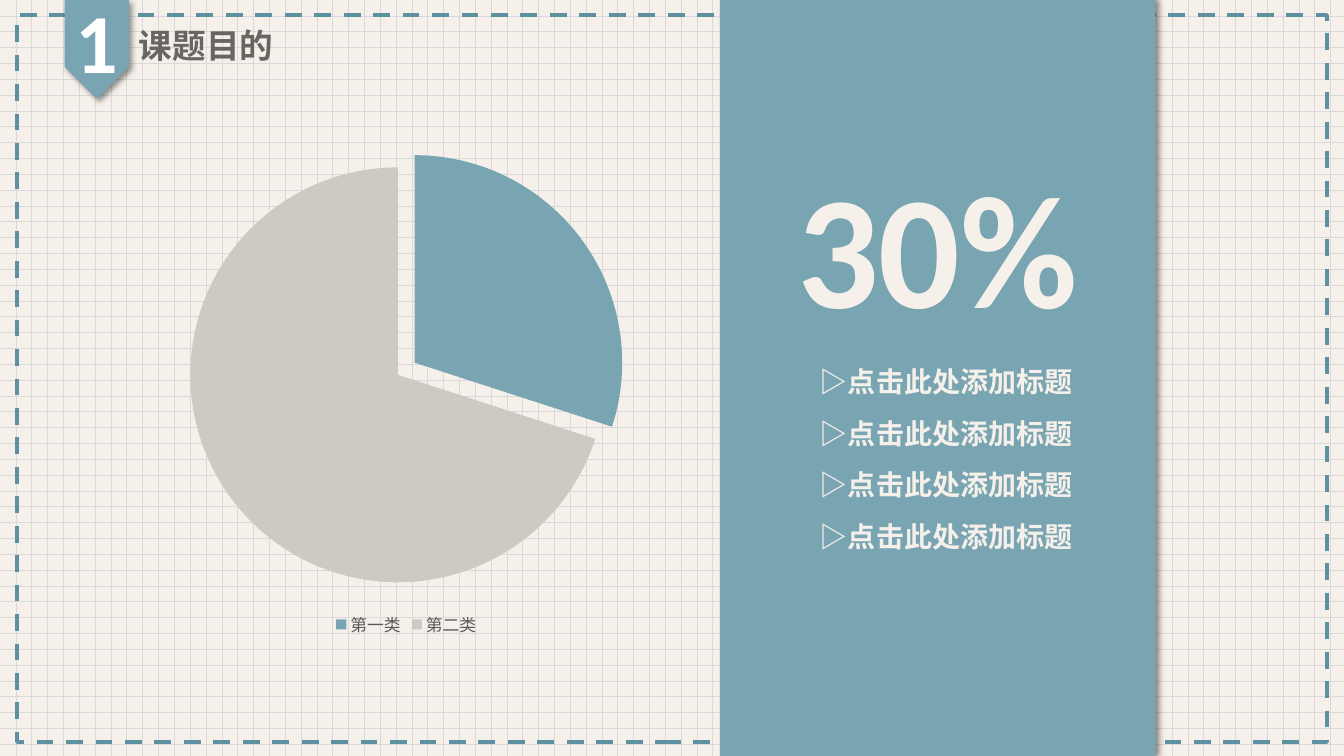
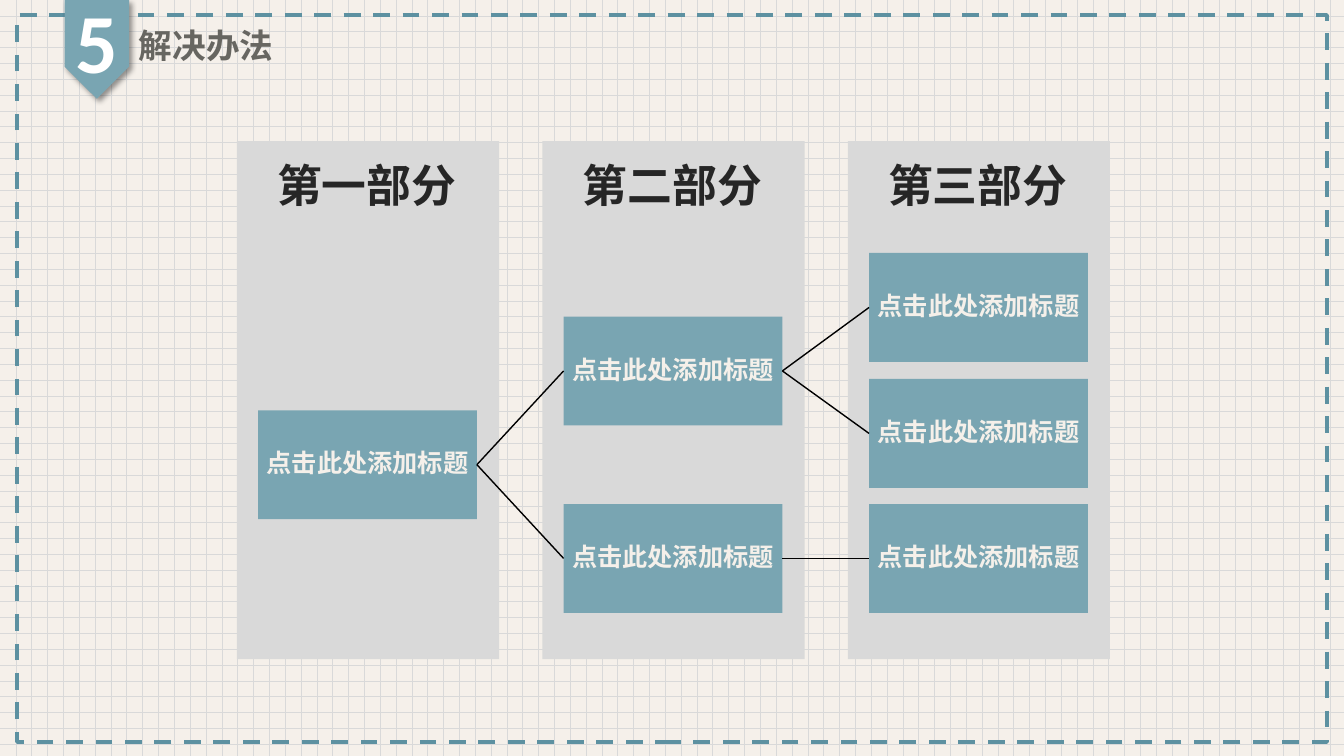
from lxml.etree import SubElement
from pptx import Presentation
from pptx.chart.data import CategoryChartData
from pptx.dml.color import RGBColor
from pptx.enum.chart import XL_CHART_TYPE, XL_LEGEND_POSITION
from pptx.enum.dml import MSO_LINE, MSO_PATTERN
from pptx.enum.shapes import MSO_CONNECTOR, MSO_SHAPE
from pptx.enum.text import MSO_ANCHOR, PP_ALIGN
from pptx.oxml import parse_xml
from pptx.oxml.ns import qn
from pptx.util import Inches, Pt

TEAL, CREAM, GREY, BLACK = "79A5B2", "F5F0EA", "D9D9D9", "000000"
LATIN, HAN = "Calibri", "Noto Sans CJK SC"
ITEM = "点击此处添加标题"
rgb = RGBColor.from_string


def write(shape, text, size, color, font=LATIN, align=PP_ALIGN.LEFT,
          anchor=MSO_ANCHOR.TOP, wrap=False, inset=None, space=None):
    frame = shape.text_frame
    frame.word_wrap = wrap
    frame.vertical_anchor = anchor
    if inset is not None:
        frame.margin_left = frame.margin_right = Inches(inset)
        frame.margin_top = frame.margin_bottom = Inches(inset)
    para = frame.paragraphs[0]
    para.alignment = align
    para.line_spacing = space
    run = para.add_run()
    run.text = text
    run.font.size = Pt(size)
    run.font.bold = True
    run.font.name = font
    run.font.color.rgb = rgb(color)
    SubElement(run.font._element, qn("a:ea"), typeface=HAN)


def paint(shape, color, angle=None):
    shape.fill.solid()
    shape.fill.fore_color.rgb = rgb(color)
    shape.line.fill.background()
    shape.shadow.inherit = False
    if angle is not None:
        glow = shape.element.spPr.find(qn("a:effectLst"))
        outer = SubElement(glow, qn("a:outerShdw"), blurRad=str(Pt(4)),
                           dist=str(Pt(3)), dir=str(angle * 60000),
                           algn="ctr", rotWithShape="0")
        tint = SubElement(outer, qn("a:srgbClr"), val=BLACK)
        SubElement(tint, qn("a:alpha"), val="40000")


deck = Presentation()
deck.slide_width = Inches(13.33)
deck.slide_height = Inches(7.5)
blank = deck.slide_layouts[6]

back = deck.slide_master.background.fill
back.patterned()
back.pattern = MSO_PATTERN.DOTTED_GRID
back.fore_color.rgb = rgb(GREY)
back.back_color.rgb = rgb(CREAM)

slides = []
for digit, title in (("1", "课题目的"), ("5", "解决办法")):
    slide = deck.slides.add_slide(blank)
    slides.append(slide)
    box = slide.shapes.add_textbox(Inches(1.28), Inches(0.2), Inches(1.55), Inches(0.5))
    write(box, title, 24, "676661", font=HAN)
    tag = slide.shapes.add_shape(
        MSO_SHAPE.PENTAGON, Inches(0.47), Inches(0.17), Inches(0.98), Inches(0.64))
    tag.rotation = 90
    paint(tag, TEAL, angle=45)
    box = slide.shapes.add_textbox(Inches(0.65), Inches(-0.15), Inches(0.63), Inches(1.11))
    write(box, digit, 60, "FFFFFF")

goal, plan = slides

frame = goal.shapes.add_shape(
    MSO_SHAPE.RECTANGLE, Inches(0.17), Inches(0.15), Inches(12.99), Inches(7.21))
frame.fill.background()
frame.line.color.rgb = rgb("5D91A1")
frame.line.width = Pt(3)
frame.line.dash_style = MSO_LINE.DASH
frame.shadow.inherit = False
blank.shapes.element.append(frame.element)

panel = goal.shapes.add_shape(
    MSO_SHAPE.RECTANGLE, Inches(7.14), 0, Inches(4.32), Inches(7.5))
paint(panel, TEAL, angle=0)
box = goal.shapes.add_textbox(Inches(7.8), Inches(1.41), Inches(3), Inches(2.05))
write(box, "30%", 115, CREAM, align=PP_ALIGN.CENTER)

data = CategoryChartData()
data.categories = ["第一类", "第二类"]
data.add_series("Series 1", (30, 70))
chart = goal.shapes.add_chart(
    XL_CHART_TYPE.PIE, Inches(0.28), Inches(1.36), Inches(7.5), Inches(5), data).chart
chart.has_title = False
chart.font.size = Pt(10)
chart.font.name = LATIN
chart.font.color.rgb = rgb(BLACK)
chart.has_legend = True
chart.legend.position = XL_LEGEND_POSITION.BOTTOM
chart.legend.include_in_layout = False
chart.legend.font.size = Pt(12)
chart.legend.font.name = LATIN
chart.legend.font.color.rgb = rgb("595959")
chart.plots[0].vary_by_categories = True
series = chart.plots[0].series[0]
for spot, color in enumerate((TEAL, "CDCAC3")):
    fill = series.points[spot].format.fill
    fill.solid()
    fill.fore_color.rgb = rgb(color)
burst = parse_xml(
    '<c:explosion xmlns:c="http://schemas.openxmlformats.org/drawingml/2006/chart" val="5"/>')
series._element.find(qn("c:dPt")).addprevious(burst)

for row in range(4):
    box = goal.shapes.add_textbox(
        Inches(8.02), Inches(3.57 + 0.51 * row), Inches(2.73), Inches(0.44))
    write(box, "▷" + ITEM, 20, CREAM, align=PP_ALIGN.CENTER)

parts = (
    ("第一部分", (4.07,)),
    ("第二部分", (3.14, 5)),
    ("第三部分", (2.51, 3.76, 5)),
)
nodes = []
for col, (head, tops) in enumerate(parts):
    left = 2.35 + 3.03 * col
    band = plan.shapes.add_shape(
        MSO_SHAPE.RECTANGLE, Inches(left), Inches(1.4), Inches(2.6), Inches(5.14))
    paint(band, GREY)
    box = plan.shapes.add_textbox(Inches(left + 0.3), Inches(1.52), Inches(2), Inches(0.64))
    write(box, head, 32, "262626")
    for top in tops:
        node = plan.shapes.add_shape(
            MSO_SHAPE.RECTANGLE, Inches(left + 0.21), Inches(top), Inches(2.17), Inches(1.08))
        paint(node, TEAL)
        write(node, ITEM, 18, CREAM, align=PP_ALIGN.CENTER,
              anchor=MSO_ANCHOR.MIDDLE, wrap=True, inset=0.06, space=0.9)
        nodes.append(node)

for start, end in ((0, 1), (0, 2), (1, 3), (1, 4), (2, 5)):
    link = plan.shapes.add_connector(MSO_CONNECTOR.STRAIGHT, 0, 0, 0, 0)
    link.begin_connect(nodes[start], 3)
    link.end_connect(nodes[end], 1)
    link.line.color.rgb = rgb(BLACK)
    link.line.width = Pt(1)
    SubElement(link.element.spPr, qn("a:effectLst"))

deck.save("out.pptx")
